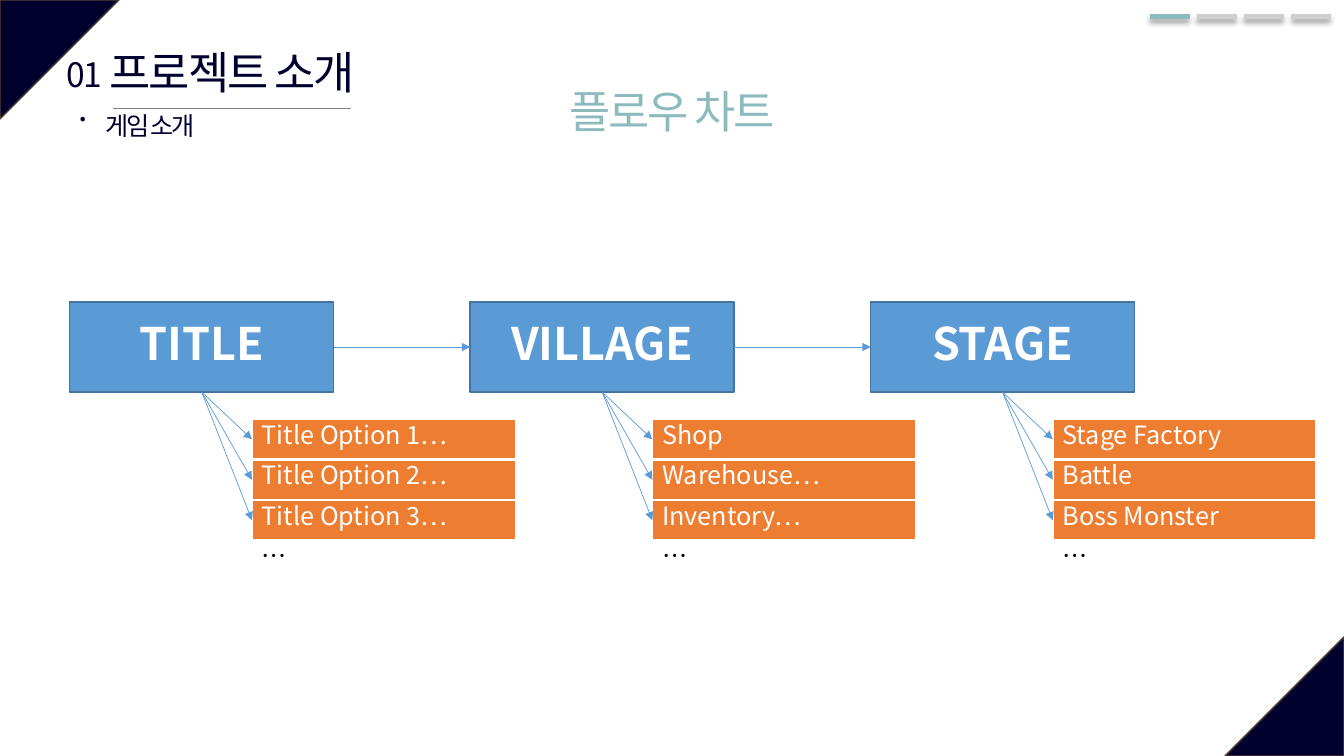
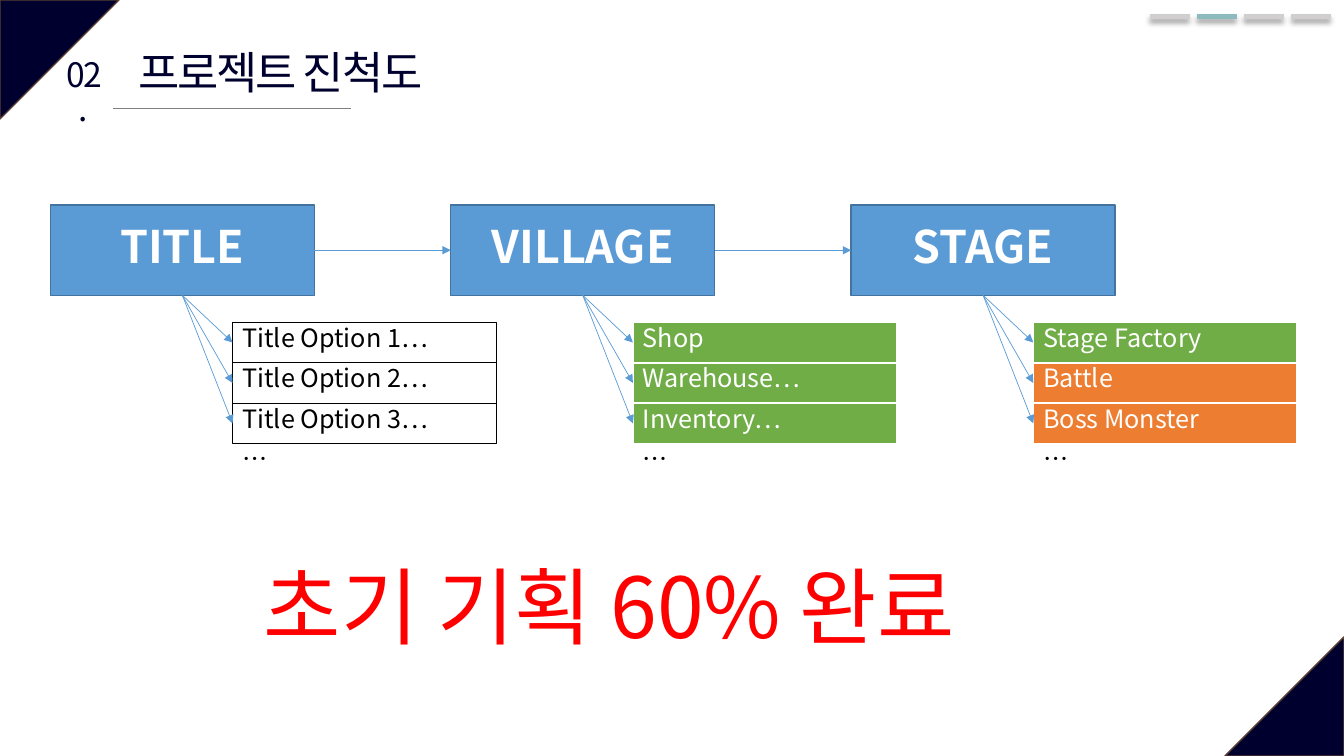
import lxml.etree
import pptx
import pptx.dml.color
import pptx.enum.shapes
import pptx.enum.text
import pptx.oxml
import pptx.oxml.ns
import pptx.util

Cm = pptx.util.Cm
Pt = pptx.util.Pt
RGB = pptx.dml.color.RGBColor.from_string
Shape = pptx.enum.shapes.MSO_SHAPE
Anchor = pptx.enum.text.MSO_ANCHOR
Align = pptx.enum.text.PP_ALIGN
qn = pptx.oxml.ns.qn


class Theme:
    font = "Noto Sans CJK KR"
    line_spacing = 0.84
    tight = -150
    navy = RGB("00002F")
    brown = RGB("5B3F33")
    teal = RGB("8DBABD")
    silver = RGB("D0CECE")
    gray = RGB("808080")
    blue = RGB("5B9BD5")
    dark_blue = RGB("43739E")
    orange = RGB("ED7D31")
    green = RGB("70AD47")
    white = RGB("FFFFFF")
    black = RGB("000000")
    red = RGB("FF0000")
    heading_size = Pt(32)
    number_size = Pt(24)
    body_size = Pt(18)
    result_size = Pt(60)


def write_text(shape, text, size, color, align=Align.LEFT, anchor=Anchor.TOP,
               wrap=True, bold=False, tracking=0):
    frame = shape.text_frame
    frame.word_wrap = wrap
    frame.vertical_anchor = anchor
    paragraph = frame.paragraphs[0]
    paragraph.text = text
    paragraph.alignment = align
    paragraph.line_spacing = Theme.line_spacing
    paragraph.font.name = Theme.font
    paragraph.font.size = size
    paragraph.font.bold = bold
    paragraph.font.color.rgb = color
    properties = paragraph._p.get_or_add_pPr().get_or_add_defRPr()
    properties.set("spc", str(tracking))
    lxml.etree.SubElement(properties, qn("a:ea"), typeface=Theme.font)


def add_line(slide, start, end, color, width, arrow=False):
    line = slide.shapes.add_connector(
        pptx.enum.shapes.MSO_CONNECTOR.STRAIGHT, *map(Cm, start + end))
    line.line.color.rgb = color
    line.line.width = Pt(width)
    if arrow:
        lxml.etree.SubElement(line.line._get_or_add_ln(), qn("a:tailEnd"), type="triangle")
    effects = lxml.etree.SubElement(line._element.spPr, qn("a:effectLst"))
    return line, effects


presentation = pptx.Presentation()
presentation.slide_width = Cm(33.87)
presentation.slide_height = Cm(19.05)

corner_size = 3
corners = [(0, 0, 90), (33.87 - corner_size, 19.05 - corner_size, 270)]

box_width, box_height, box_pitch = 6.65, 2.27, 10.09
item_shift, item_drop, item_height = 4.59, 2.95, 1.02

stages = [
    ("TITLE", ["Title Option 1…", "Title Option 2…", "Title Option 3…"]),
    ("VILLAGE", ["Shop", "Warehouse…", "Inventory…"]),
    ("STAGE", ["Stage Factory", "Battle", "Boss Monster"]),
]

pages = [
    {
        "number": "01.",
        "title": ("프로젝트 소개", 2.16, 7.39),
        "flow": (1.76, 7.61),
        "fills": [[Theme.orange] * 3] * 3,
        "labels": [
            ("플로우 차트", (13.79, 2.21, 6.3, 1.63), Theme.heading_size, Theme.teal,
             Align.CENTER, Theme.tight),
            ("게임 소개", (2.26, 2.79, 3.05, 1.02), Theme.body_size, Theme.navy,
             Align.CENTER, Theme.tight),
        ],
    },
    {
        "number": "02.",
        "title": ("프로젝트 진척도", 2.84, 8.46),
        "flow": (1.27, 5.17),
        "fills": [[None] * 3, [Theme.green] * 3, [Theme.green, Theme.orange, Theme.orange]],
        "labels": [
            ("초기 기획 60% 완료", (6.4, 14.27, 21.06, 2.82), Theme.result_size, Theme.red,
             Align.LEFT, 0),
        ],
    },
]

for page_index, page in enumerate(pages):
    slide = presentation.slides.add_slide(presentation.slide_layouts[6])

    for left, top, rotation in corners:
        corner = slide.shapes.add_shape(
            Shape.ISOSCELES_TRIANGLE, Cm(left), Cm(top), Cm(corner_size), Cm(corner_size))
        corner.adjustments[0] = 0
        corner.rotation = rotation
        corner.shadow.inherit = False
        corner.fill.solid()
        corner.fill.fore_color.rgb = Theme.navy
        corner.line.color.rgb = Theme.brown
        corner.line.width = Pt(1)

    for step in range(4):
        left = 28.98 + step * 1.185
        color = Theme.teal if step == page_index else Theme.silver
        marker, effects = add_line(slide, (left, 0.41), (left + 1, 0.41), color, 3.5)
        shadow = lxml.etree.SubElement(
            effects, qn("a:outerShdw"), blurRad=str(Pt(4)), dist=str(Pt(3)),
            dir="5400000", algn="t", rotWithShape="0")
        shadow_color = lxml.etree.SubElement(shadow, qn("a:srgbClr"), val=str(Theme.black))
        lxml.etree.SubElement(shadow_color, qn("a:alpha"), val="40000")

    add_line(slide, (2.84, 2.74), (8.84, 2.74), Theme.gray, 0.5)
    title, title_left, title_width = page["title"]
    title_box = slide.shapes.add_textbox(Cm(title_left), Cm(1.22), Cm(title_width), Cm(1.63))
    write_text(title_box, title, Theme.heading_size, Theme.navy, Align.CENTER,
               wrap=False, tracking=Theme.tight)
    number_box = slide.shapes.add_textbox(Cm(1.37), Cm(1.4), Cm(1.47), Cm(1.27))
    write_text(number_box, page["number"], Theme.number_size, Theme.navy, Align.CENTER,
               tracking=Theme.tight)

    for text, bounds, size, color, align, tracking in page["labels"]:
        label = slide.shapes.add_textbox(*map(Cm, bounds))
        write_text(label, text, size, color, align, wrap=False, tracking=tracking)

    flow_left, flow_top = page["flow"]
    previous_box = None
    for column, (stage, items) in enumerate(stages):
        left = flow_left + column * box_pitch
        box = slide.shapes.add_shape(
            Shape.FLOWCHART_PROCESS, Cm(left), Cm(flow_top), Cm(box_width), Cm(box_height))
        box.shadow.inherit = False
        box.fill.solid()
        box.fill.fore_color.rgb = Theme.blue
        box.line.color.rgb = Theme.dark_blue
        box.line.width = Pt(1)
        write_text(box, stage, Theme.heading_size, Theme.white, Align.CENTER,
                   Anchor.MIDDLE, bold=True)
        if previous_box is not None:
            arrow, effects = add_line(slide, (0, 0), (0, 0), Theme.blue, 0.5, arrow=True)
            arrow.begin_connect(previous_box, 3)
            arrow.end_connect(box, 1)
        previous_box = box

        item_left = left + item_shift
        item_top = flow_top + item_drop
        for item_text, fill in zip(items, page["fills"][column]):
            item = slide.shapes.add_shape(
                Shape.RECTANGLE, Cm(item_left), Cm(item_top), Cm(box_width), Cm(item_height))
            item.shadow.inherit = False
            if fill is None:
                item.fill.background()
            else:
                item.fill.solid()
                item.fill.fore_color.rgb = fill
            item.line.color.rgb = Theme.white if fill else Theme.black
            item.line.width = Pt(1.5 if fill else 0.75)
            write_text(item, item_text, Theme.body_size, Theme.white if fill else Theme.black)
            arrow, effects = add_line(slide, (0, 0), (0, 0), Theme.blue, 0.5, arrow=True)
            arrow.begin_connect(box, 2)
            arrow.end_connect(item, 1)
            item_top += item_height

        more = slide.shapes.add_textbox(
            Cm(item_left), Cm(item_top), Cm(box_width), Cm(item_height))
        write_text(more, "…", Theme.body_size, Theme.black)

presentation.save("out.pptx")
